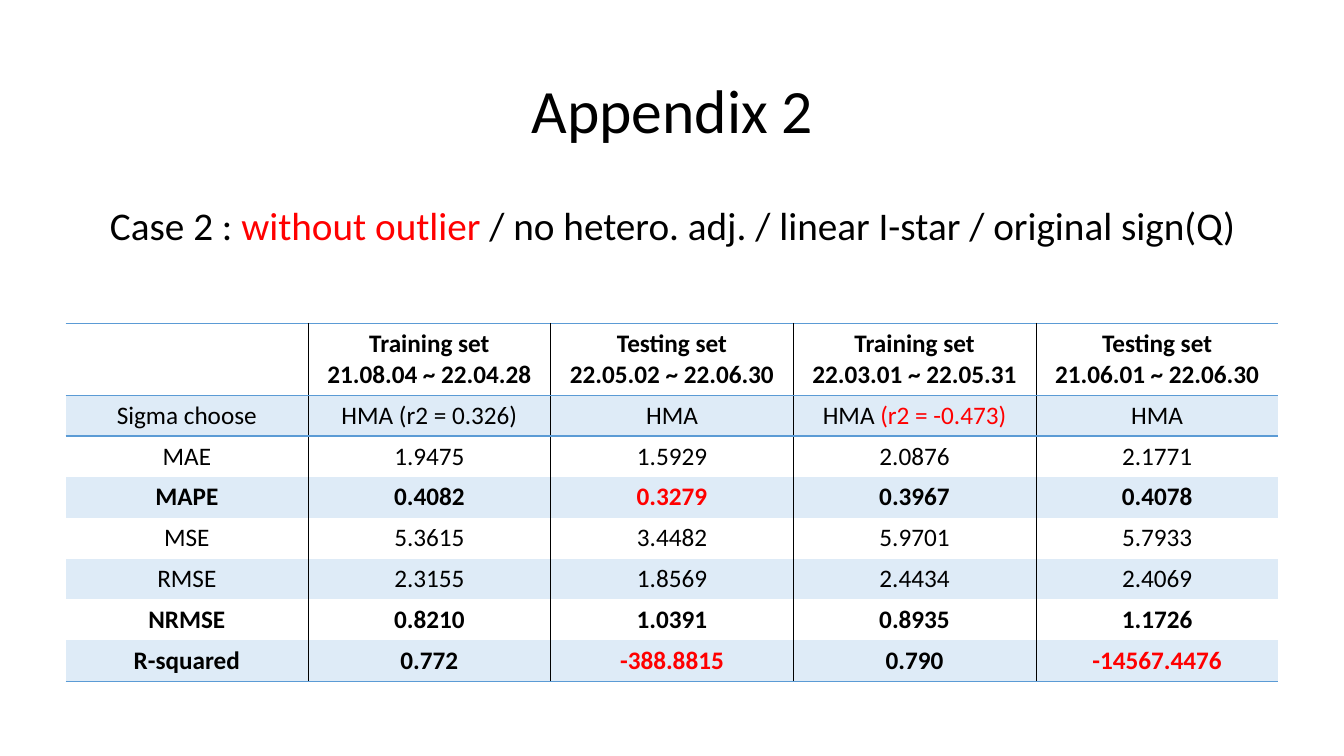
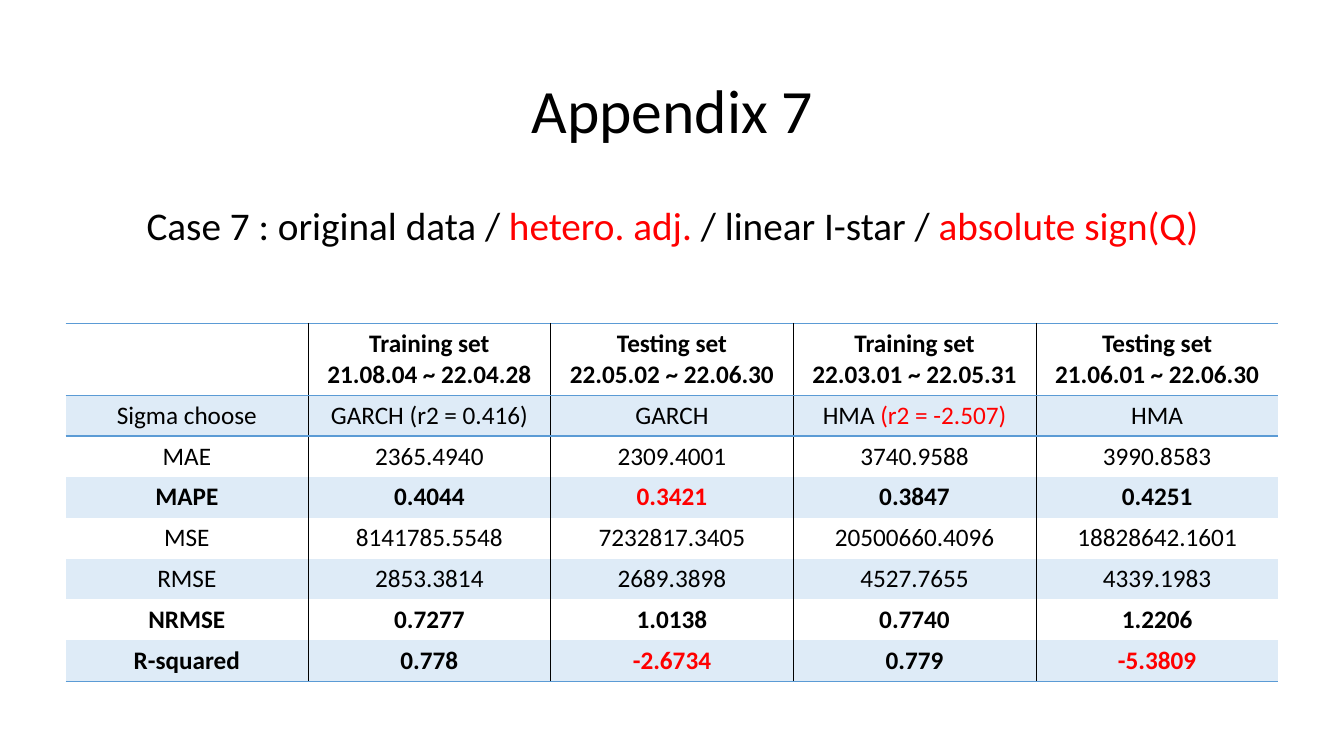
from lxml.etree import SubElement
from pptx import Presentation
from pptx.dml.color import RGBColor
from pptx.enum.text import MSO_ANCHOR, PP_ALIGN
from pptx.oxml.ns import qn
from pptx.util import Inches, Pt

COLORS = {"text": "000000", "accent": "FF0000", "rule": "5B9BD5", "band": "DEEBF7"}
NO_STYLE = "{2D5ABB26-0587-4C30-8999-92F81FD0307C}"

# Text between bars is shown in the accent colour
PERIODS = [
    "",
    "Training set\n21.08.04 ~ 22.04.28",
    "Testing set\n22.05.02 ~ 22.06.30",
    "Training set\n22.03.01 ~ 22.05.31",
    "Testing set\n21.06.01 ~ 22.06.30",
]
METRICS = ["Sigma choose", "MAE", "MAPE", "MSE", "RMSE", "NRMSE", "R-squared"]
KEY_METRICS = {"MAPE", "NRMSE", "R-squared"}

APPENDICES = [
    {
        "title": "Appendix 2",
        "case": "Case 2 : |without outlier |/ no hetero. adj. / linear I-star / original sign(Q)",
        "results": [
            ["HMA (r2 = 0.326)", "HMA", "HMA |(r2 = -0.473)|", "HMA"],
            ["1.9475", "1.5929", "2.0876", "2.1771"],
            ["0.4082", "|0.3279|", "0.3967", "0.4078"],
            ["5.3615", "3.4482", "5.9701", "5.7933"],
            ["2.3155", "1.8569", "2.4434", "2.4069"],
            ["0.8210", "1.0391", "0.8935", "1.1726"],
            ["0.772", "|-388.8815|", "0.790", "|-14567.4476|"],
        ],
    },
    {
        "title": "Appendix 7",
        "case": "Case 7 : original data / |hetero. adj. |/ linear I-star / |absolute sign(Q)|",
        "results": [
            ["GARCH (r2 = 0.416)", "GARCH", "HMA |(r2 = -2.507)|", "HMA"],
            ["2365.4940", "2309.4001", "3740.9588", "3990.8583"],
            ["0.4044", "|0.3421|", "0.3847", "0.4251"],
            ["8141785.5548", "7232817.3405", "20500660.4096", "18828642.1601"],
            ["2853.3814", "2689.3898", "4527.7655", "4339.1983"],
            ["0.7277", "1.0138", "0.7740", "1.2206"],
            ["0.778", "|-2.6734|", "0.779", "|-5.3809|"],
        ],
    },
]


class Deck:
    """Holds the shared style and the current slide."""

    FORMATS = {
        "title": {"size": Pt(44), "bold": False},
        "case": {"size": Pt(28), "bold": False},
        "cell": {"size": Pt(18), "bold": False},
        "strong": {"size": Pt(18), "bold": True},
    }

    def __init__(self):
        self.prs = Presentation()
        self.prs.slide_width = Inches(13.33)
        self.prs.slide_height = Inches(7.5)
        self.slide = None

    def new_slide(self):
        self.slide = self.prs.slides.add_slide(self.prs.slide_layouts[6])

    def fill_text(self, frame, text, style, spacing=None):
        for index, line in enumerate(text.split("\n")):
            paragraph = frame.add_paragraph() if index else frame.paragraphs[0]
            paragraph.alignment = PP_ALIGN.CENTER
            paragraph.line_spacing = spacing
            for part, words in enumerate(line.split("|")):
                if not words:
                    continue
                run = paragraph.add_run()
                run.text = words
                for name, value in {"name": "Calibri", **self.FORMATS[style]}.items():
                    setattr(run.font, name, value)
                color = COLORS["accent" if part % 2 else "text"]
                run.font.color.rgb = RGBColor.from_string(color)

    def heading(self, text, style, top, height, anchor):
        box = self.slide.shapes.add_textbox(
            Inches(0.92), Inches(top), Inches(11.5), Inches(height))
        box.text_frame.word_wrap = True
        box.text_frame.vertical_anchor = anchor
        self.fill_text(box.text_frame, text, style, 0.9)

    def border(self, cell, side, color, width):
        line = SubElement(cell._tc.get_or_add_tcPr(), qn(f"a:ln{side}"), w=str(Pt(width)))
        fill = SubElement(line, qn("a:solidFill"))
        SubElement(fill, qn("a:srgbClr"), val=COLORS[color])

    def table(self, rows):
        header_height, row_height = 0.71, 2.84 / len(METRICS)
        last_row, last_column = len(rows) - 1, len(rows[0]) - 1
        table = self.slide.shapes.add_table(
            len(rows), len(rows[0]),
            Inches(0.65), Inches(3.21), Inches(12.03), Inches(3.55)).table
        table.first_row = table.horz_banding = False
        table._tbl.tblPr.find(qn("a:tableStyleId")).text = NO_STYLE

        for r, row in enumerate(rows):
            table.rows[r].height = Inches(row_height if r else header_height)
            strong = r == 0 or row[0] in KEY_METRICS
            for c, text in enumerate(row):
                cell = table.cell(r, c)
                self.fill_text(cell.text_frame, text, "strong" if strong else "cell")

                # Column dividers alternate between two widths
                if c > 0:
                    self.border(cell, "L", "text", 1 if c % 2 else 0.5)
                if c < last_column:
                    self.border(cell, "R", "text", 0.5 if c % 2 else 1)
                # Rules around the header and below the last row
                if r < 2:
                    self.border(cell, "T", "rule", 1)
                if r in (0, last_row):
                    self.border(cell, "B", "rule", 1)

                # Banding
                if r % 2:
                    cell.fill.solid()
                    cell.fill.fore_color.rgb = RGBColor.from_string(COLORS["band"])
                else:
                    cell.fill.background()


def main():
    deck = Deck()
    for appendix in APPENDICES:
        deck.new_slide()
        deck.heading(appendix["title"], "title", 0.4, 1.45, MSO_ANCHOR.MIDDLE)
        deck.heading(appendix["case"], "case", 2, 0.6, MSO_ANCHOR.TOP)
        results = [[metric, *values] for metric, values in zip(METRICS, appendix["results"])]
        deck.table([PERIODS, *results])
    deck.prs.save("out.pptx")


if __name__ == "__main__":
    main()
